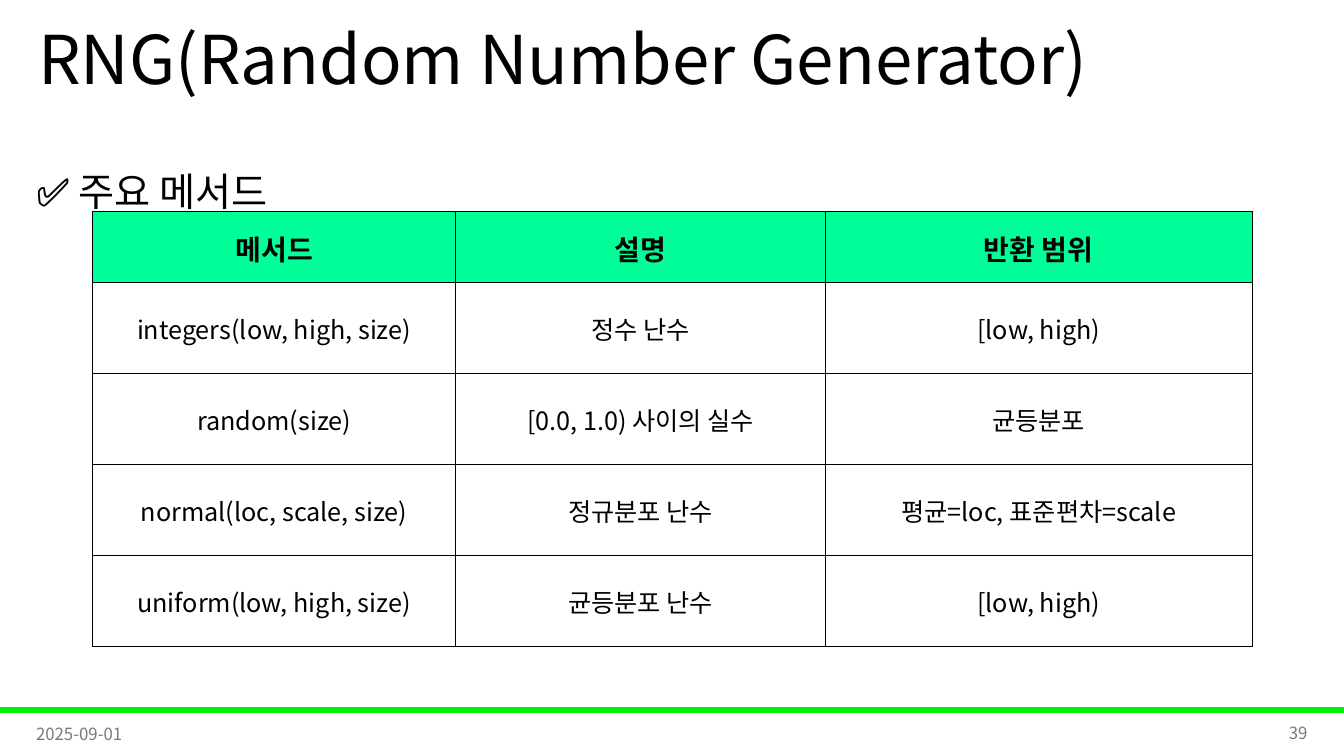
from dataclasses import dataclass

import pptx
import pptx.dml.color
import pptx.enum.shapes
import pptx.enum.text
import pptx.oxml
import pptx.oxml.ns
import pptx.util

Pt = pptx.util.Pt
ALIGN = pptx.enum.text.PP_ALIGN
ANCHOR = pptx.enum.text.MSO_ANCHOR
FONT = "Noto Sans CJK KR"
BLACK, GRAY, GREEN, MINT = "000000", "797979", "00F209", "00FF99"


@dataclass
class Label:
    text: str
    left: float
    top: float
    width: float
    height: float
    size: float
    color: str = BLACK
    align: ALIGN = ALIGN.LEFT
    anchor: ANCHOR = ANCHOR.MIDDLE
    line_spacing: float = 1.0
    margin_top: float = 3.6


LABELS = [
    Label("RNG(Random Number Generator)", 20.16, 0, 828, 90, 48, line_spacing=0.9),
    Label("2025-09-01", 18.72, 509.76, 216, 28.8, 12, GRAY),
    Label("39", 725.04, 509.04, 216, 28.8, 12, GRAY, ALIGN.RIGHT),
    Label("✅ 주요 메서드", 18.72, 89.28, 921.6, 60.48, 28,
          anchor=ANCHOR.TOP, line_spacing=1.5, margin_top=13.6),
]

METHODS = [
    ("메서드", "설명", "반환 범위"),
    ("integers(low, high, size)", "정수 난수", "[low, high)"),
    ("random(size)", "[0.0, 1.0) 사이의 실수", "균등분포"),
    ("normal(loc, scale, size)", "정규분포 난수", "평균=loc, 표준편차=scale"),
    ("uniform(low, high, size)", "균등분포 난수", "[low, high)"),
]
COL_WIDTHS = [259.2, 264.24, 304.56]
ROW_HEIGHTS = [50.8] + [65] * 4


def rgb(color: str) -> pptx.dml.color.RGBColor:
    return pptx.dml.color.RGBColor.from_string(color)


def apply(target, values: dict) -> None:
    for name, value in values.items():
        setattr(target, name, value)


def write(tf, text: str, size: float, color: str, align: ALIGN,
          line_spacing: float = 1.0, bold: bool = False) -> None:
    p = tf.paragraphs[0]
    apply(p, {"alignment": align, "line_spacing": line_spacing})
    r = p.add_run()
    r.text = text
    apply(r.font, {"name": FONT, "size": Pt(size), "bold": bold})
    r.font.color.rgb = rgb(color)
    ea = pptx.oxml.parse_xml(
        f'<a:ea {pptx.oxml.ns.nsdecls("a")} typeface="{FONT}"/>')
    r.font._element.find(pptx.oxml.ns.qn("a:latin")).addnext(ea)


def add_label(s, label: Label) -> None:
    box = map(Pt, (label.left, label.top, label.width, label.height))
    tf = s.shapes.add_textbox(*box).text_frame
    apply(tf, {"word_wrap": True, "vertical_anchor": label.anchor,
               "margin_top": Pt(label.margin_top)})
    write(tf, label.text, label.size, label.color, label.align, label.line_spacing)


def add_borders(cell) -> None:
    tc_pr = cell._tc.get_or_add_tcPr()
    for side in ("lnL", "lnR", "lnT", "lnB"):
        tc_pr.append(pptx.oxml.parse_xml(
            f'<a:{side} {pptx.oxml.ns.nsdecls("a")} w="{Pt(0.5)}"><a:solidFill>'
            f'<a:srgbClr val="{BLACK}"/></a:solidFill></a:{side}>'))


def add_methods(s) -> None:
    frame = s.shapes.add_table(
        len(METHODS), len(COL_WIDTHS), Pt(66.24), Pt(151.2),
        Pt(sum(COL_WIDTHS)), Pt(sum(ROW_HEIGHTS)))
    table = frame.table
    apply(table, {"horz_banding": False})
    for column, width in zip(table.columns, COL_WIDTHS):
        column.width = Pt(width)
    for row, height in zip(table.rows, ROW_HEIGHTS):
        row.height = Pt(height)
    for i, texts in enumerate(METHODS):
        header = i == 0
        for j, text in enumerate(texts):
            cell = table.cell(i, j)
            apply(cell, {"vertical_anchor": ANCHOR.MIDDLE,
                         "margin_left": Pt(0.72), "margin_right": Pt(0.72),
                         "margin_top": Pt(0.72), "margin_bottom": Pt(0)})
            add_borders(cell)
            if header:
                cell.fill.solid()
                cell.fill.fore_color.rgb = rgb(MINT)
            else:
                cell.fill.background()
            write(cell.text_frame, text, 20 if header else 18, BLACK,
                  ALIGN.CENTER, bold=header)


def add_footer_bar(s) -> None:
    sp = s.shapes.add_shape(pptx.enum.shapes.MSO_SHAPE.RECTANGLE,
                            Pt(0), Pt(505.44), Pt(960), Pt(3.6))
    sp.shadow.inherit = False
    sp.fill.solid()
    sp.fill.fore_color.rgb = rgb(GREEN)
    sp.line.color.rgb = rgb(GREEN)
    sp.line.width = Pt(1)


def main() -> None:
    prs = pptx.Presentation()
    apply(prs, {"slide_width": Pt(960), "slide_height": Pt(540)})
    s = prs.slides.add_slide(prs.slide_layouts[6])
    add_footer_bar(s)
    for label in LABELS:
        add_label(s, label)
    add_methods(s)
    prs.save("out.pptx")


if __name__ == "__main__":
    main()
